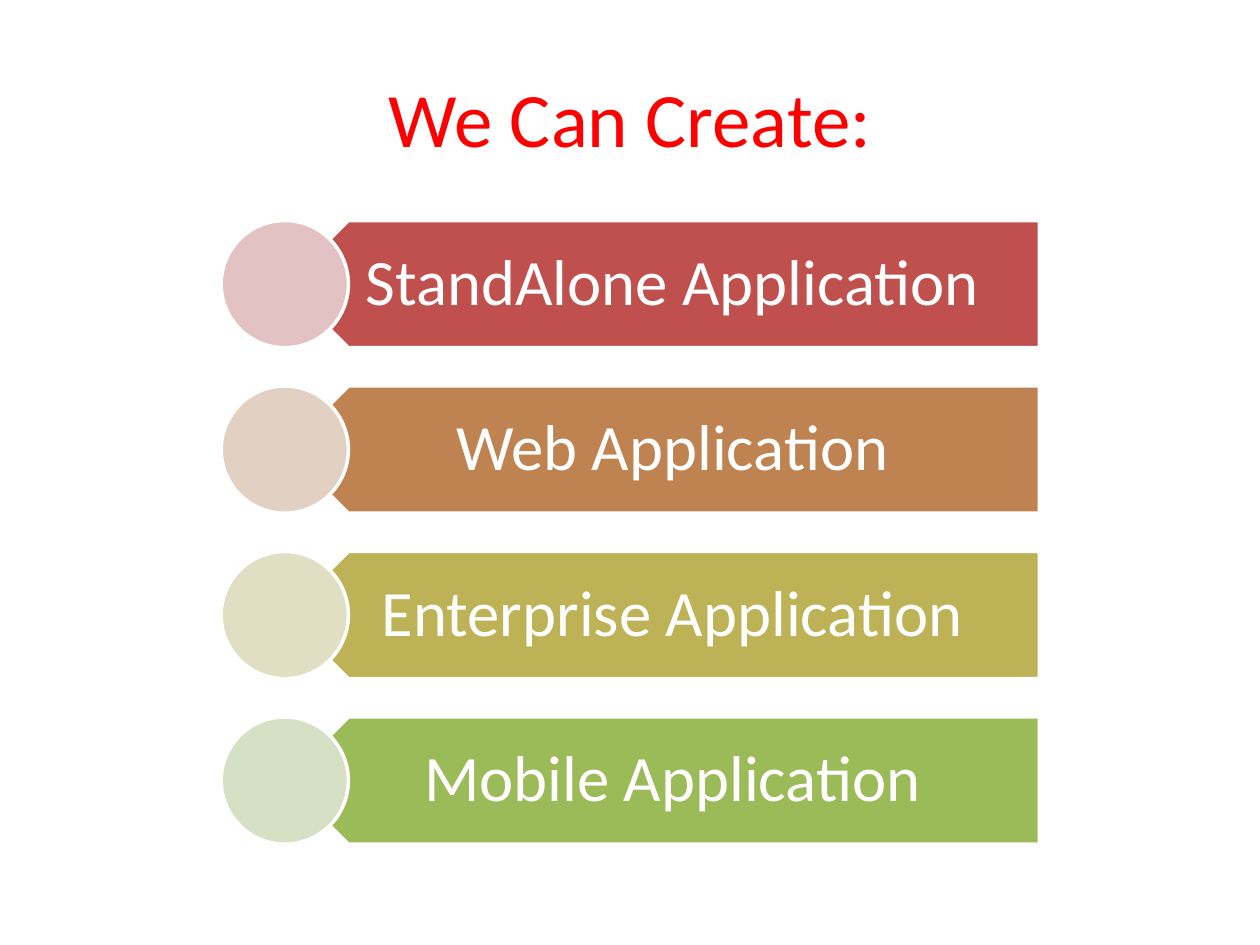
"""Build a slide listing four kinds of application as coloured banners."""
from dataclasses import dataclass

from pptx import Presentation
from pptx.dml.color import RGBColor
from pptx.enum.shapes import MSO_SHAPE as Shape
from pptx.enum.text import MSO_ANCHOR as Anchor, PP_ALIGN as Align
from pptx.util import Inches, Pt

COLORS = {
    "title": "FF0000",
    "white": "FFFFFF",
    "red": "C0504D",
    "pale_red": "E2C2C2",
    "brown": "BE8351",
    "pale_brown": "E2D1C2",
    "olive": "BDB255",
    "pale_olive": "E1DFC3",
    "green": "9BBB59",
    "pale_green": "D5E0C4",
}
FONT = "Calibri"
BANNER_LEFT, BANNER_WIDTH = 2.26, 5.99
ROW_HEIGHT = 1.01
FIRST_TOP, LAST_TOP = 1.75, 5.69


@dataclass(frozen=True)
class Banner:
    label: str
    color: str

    @property
    def pale_color(self) -> str:
        return f"pale_{self.color}"


BANNERS = [
    Banner("StandAlone Application", "red"),
    Banner("Web Application", "brown"),
    Banner("Enterprise Application", "olive"),
    Banner("Mobile Application", "green"),
]


def rgb(name: str) -> RGBColor:
    return RGBColor.from_string(COLORS[name])


def write_text(frame, text: str, size: float, color: str):
    frame.text = text
    frame.word_wrap = True
    frame.vertical_anchor = Anchor.MIDDLE
    para = frame.paragraphs[0]
    para.alignment = Align.CENTER
    font = para.runs[0].font
    font.name, font.size = FONT, Pt(size)
    font.color.rgb = rgb(color)
    return para


def add_filled_shape(shapes, kind: Shape, left: float, top: float, width: float, color: str):
    shape = shapes.add_shape(kind, Inches(left), Inches(top), Inches(width), Inches(ROW_HEIGHT))
    shape.shadow.inherit = False
    shape.fill.solid()
    shape.fill.fore_color.rgb = rgb(color)
    shape.line.color.rgb = rgb("white")
    shape.line.width = Pt(2)
    return shape


def add_banner(shapes, banner: Banner, top: float) -> None:
    arrow = add_filled_shape(shapes, Shape.PENTAGON, BANNER_LEFT, top, BANNER_WIDTH, banner.color)
    arrow.rotation = 180

    box = shapes.add_textbox(
        Inches(BANNER_LEFT), Inches(top), Inches(BANNER_WIDTH), Inches(ROW_HEIGHT)
    )
    frame = box.text_frame
    frame.margin_left, frame.margin_right = Inches(0.45), Inches(0.29)
    frame.margin_top = frame.margin_bottom = Inches(0.15)
    write_text(frame, banner.label, 37, "white").line_spacing = 0.9

    circle_left = BANNER_LEFT - ROW_HEIGHT / 2
    add_filled_shape(shapes, Shape.OVAL, circle_left, top, ROW_HEIGHT, banner.pale_color)


def main() -> None:
    deck = Presentation()
    deck.slide_width, deck.slide_height = Inches(10), Inches(7.5)
    page = deck.slides.add_slide(deck.slide_layouts[5])

    title = page.shapes.title
    title.left, title.top = Inches(0.5), Inches(0.3)
    title.width, title.height = Inches(9), Inches(1.25)
    write_text(title.text_frame, "We Can Create:", 44, "title")

    pitch = (LAST_TOP - FIRST_TOP) / (len(BANNERS) - 1)
    for row, banner in enumerate(BANNERS):
        add_banner(page.shapes, banner, FIRST_TOP + row * pitch)

    deck.save("out.pptx")


if __name__ == "__main__":
    main()
